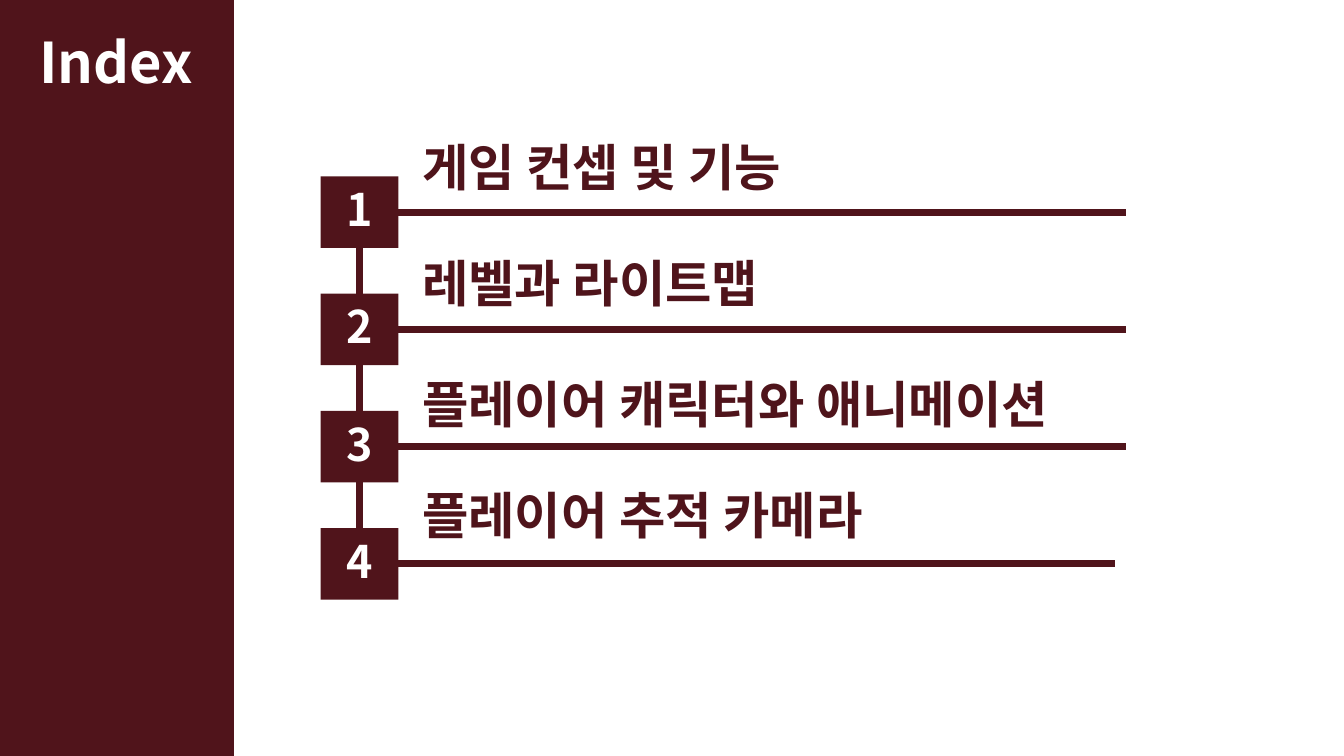
import pptx
import pptx.util
import pptx.dml.color
import pptx.enum.shapes
import pptx.enum.text
import pptx.oxml.ns
import lxml.etree

WINE = pptx.dml.color.RGBColor(0x50, 0x14, 0x1B)
INK = pptx.dml.color.RGBColor(0x4F, 0x14, 0x1B)
WHITE = pptx.dml.color.RGBColor(0xFF, 0xFF, 0xFF)
FONT = "Noto Sans CJK KR"

# Lengths are percentages of the slide's width (x, w) and height (y, h).
BOX_X, BOX_Y, BOX_W, BOX_H = 23.86, 23.33, 5.78, 9.47
PITCH = 15.51
TEXT_X, TEXT_H = 30.68, 9.47

# Heading, its top and width, then the start and end of its rule.
TOPICS = [
    ("게임 컨셉 및 기능", 18.27, 57.6, 29.63, 83.8),
    ("레벨과 라이트맵", 33.6, 57.6, 29.63, 83.8),
    ("플레이어 캐릭터와 애니메이션", 49.6, 66.2, 29.63, 83.8),
    ("플레이어 추적 카메라", 64.27, 55.2, 28.88, 82.97),
]


class Deck:
    def __init__(self):
        self.show = pptx.Presentation()
        self.show.slide_width = pptx.util.Inches(13.33)
        self.show.slide_height = pptx.util.Inches(7.5)
        self.page = self.show.slides.add_slide(self.show.slide_layouts[6])

    def place(self, *spots):
        """Turn alternating x and y percentages into slide lengths."""
        sides = (self.show.slide_width, self.show.slide_height)
        return [round(spot * sides[i % 2] / 100) for i, spot in enumerate(spots)]

    def add_words(self, frame, text, size, color):
        para = frame.paragraphs[0]
        para.line_spacing = 0.9
        run = para.add_run()
        run.text = text
        font = run.font
        font.name, font.size, font.bold = FONT, pptx.util.Pt(size), True
        font.color.rgb = color
        east = lxml.etree.SubElement(run._r.get_or_add_rPr(), pptx.oxml.ns.qn("a:ea"))
        east.set("typeface", FONT)
        return para

    def block(self, x, y, w, h):
        shape = self.page.shapes.add_shape(
            pptx.enum.shapes.MSO_SHAPE.RECTANGLE, *self.place(x, y, w, h))
        shape.shadow.inherit = False
        shape.fill.solid()
        shape.fill.fore_color.rgb = WINE
        shape.line.fill.background()
        return shape

    def badge(self, text, x, y, w, h):
        frame = self.block(x, y, w, h).text_frame
        frame.vertical_anchor = pptx.enum.text.MSO_ANCHOR.MIDDLE
        para = self.add_words(frame, text, 32, WHITE)
        para.alignment = pptx.enum.text.PP_ALIGN.CENTER

    def label(self, text, x, y, w, h, size, color):
        frame = self.page.shapes.add_textbox(*self.place(x, y, w, h)).text_frame
        frame.word_wrap = True
        frame.auto_size = pptx.enum.text.MSO_AUTO_SIZE.SHAPE_TO_FIT_TEXT
        self.add_words(frame, text, size, color)

    def rule(self, x1, y1, x2, y2):
        line = self.page.shapes.add_connector(
            pptx.enum.shapes.MSO_CONNECTOR.STRAIGHT, *self.place(x1, y1, x2, y2))
        line.line.color.rgb = WINE
        line.line.width = pptx.util.Pt(5)
        lxml.etree.SubElement(line._element.spPr, pptx.oxml.ns.qn("a:effectLst"))


def main():
    deck = Deck()
    deck.block(0, 0, 17.4, 100)
    deck.label("Index", 2.18, 4, 13.8, 10.27, 40, WHITE)
    stem = BOX_X + BOX_W / 2
    for i, (text, top, width, start, end) in enumerate(TOPICS):
        y = BOX_Y + i * PITCH
        mid = y + BOX_H / 2
        deck.rule(start, mid, end, mid)
        if i:
            deck.rule(stem, y - PITCH + BOX_H, stem, y)
        deck.badge(str(i + 1), BOX_X, y, BOX_W, BOX_H)
        deck.label(text, TEXT_X, top, width, TEXT_H, 36, INK)
    deck.show.save("out.pptx")


if __name__ == "__main__":
    main()
